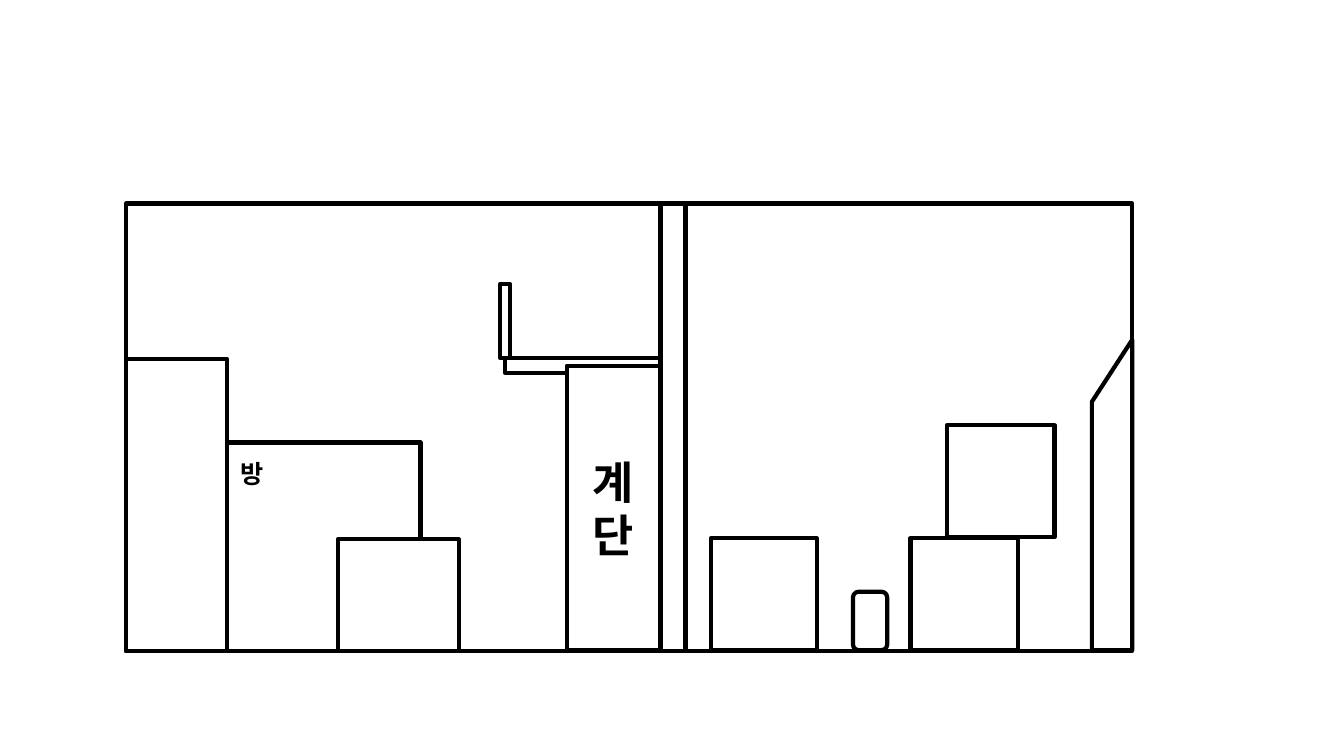
"""Builds a line drawing of a room section with stairs, boxes and a pillar."""
from pptx import Presentation, util as u
from pptx.dml.color import RGBColor
from pptx.enum import shapes, text
from pptx.oxml import parse_xml
from pptx.oxml.ns import nsdecls

BLACK = RGBColor(0x00, 0x00, 0x00)
WHITE = RGBColor(0xFF, 0xFF, 0xFF)
FONT = "Noto Sans CJK KR"
KIND = shapes.MSO_SHAPE


def write(frame, words, size, align=None, anchor=None, wrap=True):
    paragraph = frame.paragraphs[0]
    frame.word_wrap = wrap
    frame.vertical_anchor = anchor
    paragraph.alignment = align
    run = paragraph.add_run()
    run.text = words
    run.font.size = u.Pt(size)
    run.font.bold = True
    run.font.color.rgb = BLACK
    run.font.name = FONT
    run.font._element.append(parse_xml(f'<a:ea {nsdecls("a")} typeface="{FONT}"/>'))


class Drawing:
    def __init__(self, slide, line_width=3):
        self.slide = slide
        self.line_width = u.Pt(line_width)

    def outline(self, left, top, width, height, kind=KIND.RECTANGLE):
        part = self.slide.shapes.add_shape(
            kind, *map(u.Inches, (left, top, width, height)))
        part.shadow.inherit = False
        part.fill.solid()
        part.fill.fore_color.rgb = WHITE
        part.line.color.rgb = BLACK
        part.line.width = self.line_width
        return part

    def label(self, left, top, width, height, words, size):
        tag = self.slide.shapes.add_textbox(
            *map(u.Inches, (left, top, width, height)))
        write(tag.text_frame, words, size, wrap=False)
        tag.text_frame.auto_size = text.MSO_AUTO_SIZE.SHAPE_TO_FIT_TEXT


def main():
    deck = Presentation()
    deck.slide_width, deck.slide_height = u.Inches(13.33), u.Inches(7.5)
    drawing = Drawing(deck.slides.add_slide(deck.slide_layouts[6]))

    building = (1.25, 2.02, 9.98, 4.44)
    room = (2.22, 4.39, 1.95, 2.07)
    left_block = (1.25, 3.56, 1, 2.9)
    for area in (building, room, left_block):
        drawing.outline(*area)
    drawing.outline(10.83, 3.37, 0.4, 3.08, KIND.FLOWCHART_MANUAL_INPUT)

    room_box = (3.35, 5.35, 1.2, 1.11)
    landing = (5.01, 3.55, 1.6, 0.15)
    for area in (room_box, landing):
        drawing.outline(*area)
    stairs = drawing.outline(5.62, 3.63, 0.93, 2.82)
    write(stairs.text_frame, "계단", 32, align=text.PP_ALIGN.CENTER,
          anchor=text.MSO_ANCHOR.MIDDLE)

    for left, top, width in ((7.05, 5.34, 1.05), (9.03, 5.34, 1.07), (9.39, 4.22, 1.07)):
        drawing.outline(left, top, width, 1.11)
    drawing.label(2.29, 4.5, 0.45, 0.4, "방", 18)

    pillar = (6.55, 2.02, 0.25, 4.44)
    railing = (4.96, 2.82, 0.1, 0.73)
    drawing.outline(*pillar)
    drawing.outline(8.46, 5.87, 0.34, 0.58, KIND.ROUNDED_RECTANGLE)
    drawing.outline(*railing)

    deck.save("out.pptx")


if __name__ == "__main__":
    main()
